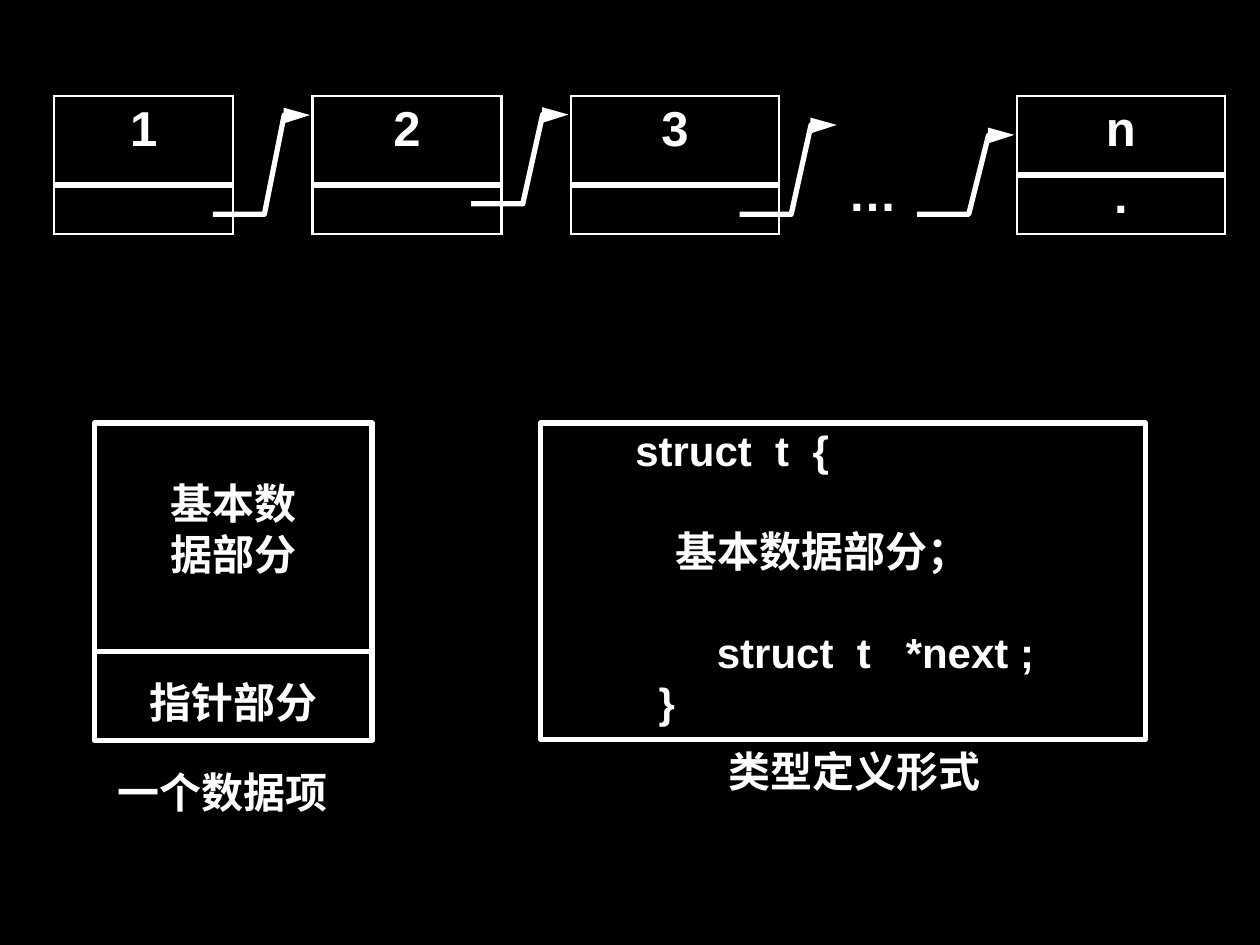
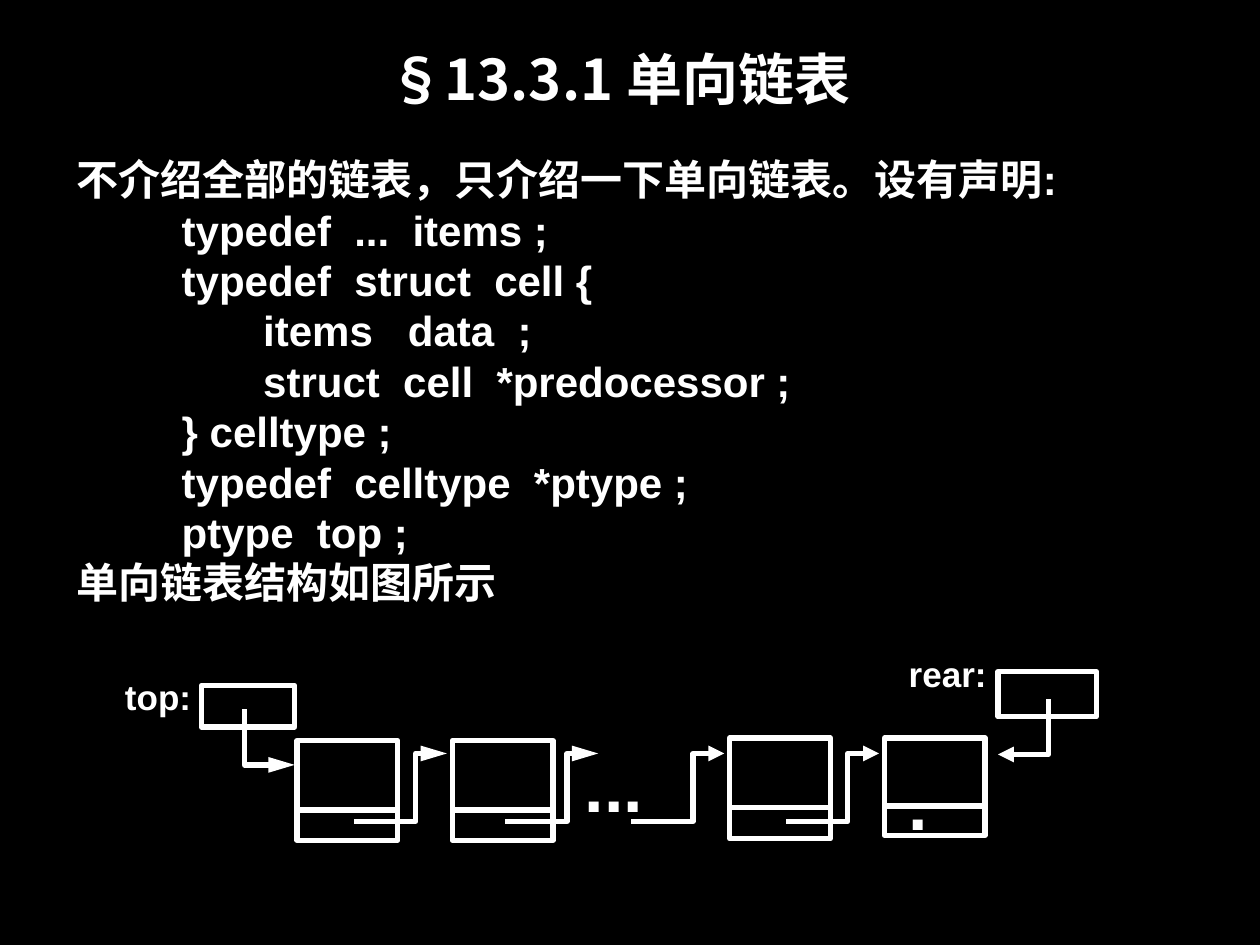
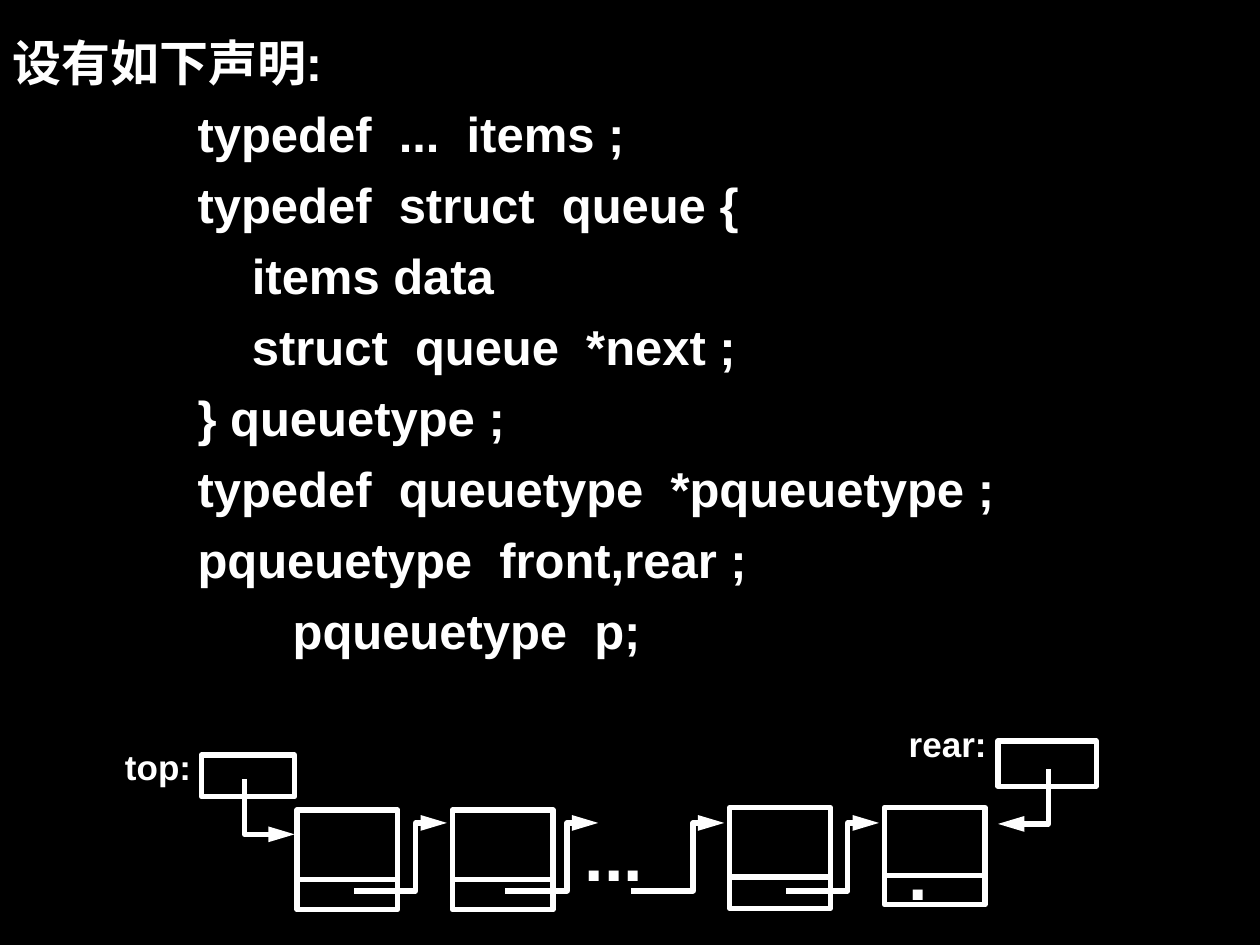
from itertools import accumulate

from lxml import etree
from pptx import Presentation
from pptx import util as u
from pptx.dml.color import RGBColor
from pptx.enum import shapes, text
from pptx.oxml.ns import qn

Cm, Pt = u.Cm, u.Pt
COLORS = {"paper": "000000", "ink": "FFFFFF"}
LATIN, CJK = "Arial", "Noto Sans CJK SC"
LEFT, CENTER = text.PP_ALIGN.LEFT, text.PP_ALIGN.CENTER
TOP, MIDDLE = text.MSO_ANCHOR.TOP, text.MSO_ANCHOR.MIDDLE
TIGHT, ROOMY = (0.03, 0.03), (0.25, 0.13)


def color(name):
    return RGBColor.from_string(COLORS[name])


def add_span(para, words, size=24, font=LATIN):
    """Append words to a paragraph in the deck's bold text style."""
    first = len(para.runs)
    if first:
        para.add_run().text = words
    else:
        para.text = words
    for span in para.runs[first:]:
        span.font.size, span.font.bold, span.font.name = Pt(size), True, font
        span.font.color.rgb = color("ink")
        etree.SubElement(span.font._element, qn("a:ea"), typeface=CJK)


def write_para(frame, words, size=24, font=LATIN, align=LEFT, before=0,
               spacing="exact", level=0, indent=0.0):
    """Write one paragraph; the first call fills the frame's empty paragraph."""
    fresh = len(frame.paragraphs) == 1 and not frame.text
    para = frame.paragraphs[0] if fresh else frame.add_paragraph()
    props = para._p.get_or_add_pPr()
    props.set("marL", str(Cm(indent)))
    props.set("indent", "0")
    etree.SubElement(props, qn("a:buNone"))
    para.level, para.alignment = level, align
    para.space_before = Pt(0 if fresh else before)
    para.line_spacing = Pt(size * 1.2) if spacing == "exact" else spacing
    add_span(para, words, size, font)
    return para


class Board:
    """White-on-black drawing style and the current page."""

    def __init__(self):
        self.deck = Presentation()
        self.deck.slide_width, self.deck.slide_height = Cm(25.4), Cm(19.05)
        fill = self.deck.slide_master.background.fill
        fill.solid()
        fill.fore_color.rgb = color("paper")

    def new_page(self, layout):
        self.page = self.deck.slides.add_slide(self.deck.slide_layouts[layout])

    def frame(self, box, inset=TIGHT, anchor=TOP, wrap=True):
        frame = box.text_frame
        frame.word_wrap, frame.vertical_anchor = wrap, anchor
        frame.auto_size = text.MSO_AUTO_SIZE.NONE
        frame.margin_left = frame.margin_right = Cm(inset[0])
        frame.margin_top = frame.margin_bottom = Cm(inset[1])
        return frame

    def holder(self, index, x, y, w, h, **options):
        box = self.page.placeholders[index]
        box.left, box.top, box.width, box.height = map(Cm, (x, y, w, h))
        return self.frame(box, **options)

    def label(self, words, x, y, w, h, inset=TIGHT, anchor=TOP, **style):
        box = self.page.shapes.add_textbox(*map(Cm, (x, y, w, h)))
        write_para(self.frame(box, inset, anchor), words, **style)

    def outline(self, line):
        line.width = Pt(3)
        line.color.rgb = color("ink")

    def rect(self, x, y, w, h):
        box = self.page.shapes.add_shape(
            shapes.MSO_SHAPE.RECTANGLE, *map(Cm, (x, y, w, h)))
        box.shadow.inherit = False
        box.fill.background()
        self.outline(box.line)
        return box

    def divider(self, x, y, w):
        line = self.page.shapes.add_connector(
            shapes.MSO_CONNECTOR.STRAIGHT, *map(Cm, (x, y, x + w, y)))
        self.outline(line.line)
        etree.SubElement(line._element.spPr, qn("a:effectLst"))

    def arrow(self, points, head="lg"):
        start, *rest = [(Cm(x), Cm(y)) for x, y in points]
        builder = self.page.shapes.build_freeform(*start)
        builder.add_line_segments(rest, close=False)
        link = builder.convert_to_shape()
        link.shadow.inherit = False
        link.fill.background()
        self.outline(link.line)
        etree.SubElement(link.line._get_or_add_ln(), qn("a:tailEnd"),
                         type="triangle", w="med", len=head)

    def table(self, x, y, widths, height):
        holder = self.page.shapes.add_table(
            1, len(widths), *map(Cm, (x, y, sum(widths), height)))
        grid = holder.table
        grid.first_row = grid.horz_banding = False
        grid.rows[0].height = Cm(height)
        for column, width in zip(grid.columns, widths):
            column.width = Cm(width)
        return [grid.cell(0, i) for i in range(len(widths))]

    def cell_style(self, cell, sides):
        cell.margin_left = cell.margin_right = Cm(0.03)
        props = cell._tc.get_or_add_tcPr()
        for side in "LRTB":
            border = etree.SubElement(props, qn(f"a:ln{side}"), w=str(Pt(1.5)))
            if side in sides:
                fill = etree.SubElement(border, qn("a:solidFill"))
                etree.SubElement(fill, qn("a:srgbClr"), val=COLORS["ink"])
            else:
                etree.SubElement(border, qn("a:noFill"))
        cell.fill.solid()
        cell.fill.fore_color.rgb = color("paper")

    def linked_list(self, top, far_head):
        """Chain of nodes with its top and rear pointers, placed from top down."""
        # Pointers
        self.label("rear:", 18.29, top, 2.03, 1.09, size=20)
        self.rect(20.12, top + 0.41, 1.98, 0.91)
        self.arrow([(21.13, top + 0.97), (21.13, top + 2.08),
                    (20.12, top + 2.08)], far_head)
        self.label("top:", 2.49, top + 0.46, 2.03, 0.94, size=20)
        self.rect(4.06, top + 0.69, 1.88, 0.84)
        self.arrow([(4.93, top + 1.17), (4.93, top + 2.29), (5.94, top + 2.29)])
        # Nodes
        for x, y, height, split in ((5.99, 1.8, 2.01, 1.4), (9.12, 1.8, 2.01, 1.4),
                                    (14.71, 1.75, 2.03, 1.4), (17.83, 1.75, 1.96, 1.37)):
            self.rect(x, top + y, 2.03, height)
            self.divider(x, top + y + split, 1.98)
        # Links
        low, high = top + 3.43, top + 2.06
        for x, head in ((7.14, "lg"), (10.19, "lg"),
                        (12.73, far_head), (15.85, far_head)):
            self.arrow([(x, low), (x + 1.24, low), (x + 1.24, high),
                        (x + 1.87, high)], head)
        self.label("...", 11.76, top + 1.8, 2.54, 1.6, size=40)
        self.label(".", 18.06, top + 2.08, 1.78, 2.51, inset=ROOMY, size=40)


def structure_page(board):
    board.new_page(6)
    # Row of list items
    left, widths = 1.09, [3.61, 1.6, 3.81, 1.4, 4.19, 4.8, 4.19]
    cells = board.table(left, 1.93, widths, 2.79)
    contents = ["1", "", "2", "", "3", "…", "n\n."]
    for i, (cell, content) in enumerate(zip(cells, contents)):
        board.cell_style(cell, "LR" if i % 2 else "LRTB")
        for line in content.splitlines():
            write_para(cell.text_frame, line, size=28, before=7, spacing=None,
                       align=LEFT if i % 2 else CENTER)
    cells[5].margin_left, cells[5].margin_top = Cm(1.4), Cm(1.45)

    # Type definition
    board.label("类型定义形式", 14.66, 14.99, 5.84, 1.27)
    frame = board.frame(board.rect(10.9, 8.53, 12.19, 6.38))
    for line, gap in (("        struct  t  {", 0),
                      ("              基本数据部分；", 28.8),
                      ("               struct  t   *next ;", 28.8),
                      ("          }", 0)):
        write_para(frame, line, before=gap)

    # One data item
    frame = board.frame(board.rect(1.91, 8.53, 5.59, 6.4))
    frame.margin_top = Cm(1.1)
    write_para(frame, "基本数\v据部分", align=CENTER)
    write_para(frame, "指针部分", align=CENTER, before=56)
    board.label("一个数据项", 1.6, 15.32, 5.79, 1.27, inset=ROOMY,
                anchor=MIDDLE, align=CENTER)
    board.divider(1.91, 13.13, 5.59)

    # Links between items
    for x, y, rise in ((4.29, 4.32, 2.0), (9.5, 4.11, 1.8),
                       (14.91, 4.32, 1.8), (18.49, 4.32, 1.6)):
        board.arrow([(x, y), (x + 1.04, y), (x + 1.44, y - rise),
                     (x + 1.96, y - rise)])
    starts = list(accumulate(widths, initial=left))
    for i in range(0, len(widths), 2):
        board.divider(starts[i], 3.53 if i == 6 else 3.73, widths[i])


def single_list_page(board):
    board.new_page(1)
    title = board.holder(0, 0.69, 0.71, 23.6, 2.21, inset=ROOMY)
    heading = write_para(title, "§13.3.1 ", size=32, font=CJK, align=CENTER,
                         spacing=1.05)
    add_span(heading, "单向链表", size=32, font="Calibri")
    body = board.holder(1, 1.52, 3.07, 20.04, 10.24, wrap=False)
    for line in ("不介绍全部的链表，只介绍一下单向链表。设有声明:",
                 "         typedef  ...  items ;",
                 "         typedef  struct  cell {",
                 "                items   data  ;",
                 "                struct  cell  *predocessor ;",
                 "         } celltype ;",
                 "         typedef  celltype  *ptype ;",
                 "         ptype  top ;",
                 "单向链表结构如图所示"):
        write_para(body, line)
    board.linked_list(13.13, "med")


def queue_page(board):
    board.new_page(1)
    title = board.page.shapes.title._element
    title.getparent().remove(title)
    body = board.holder(1, 0, 0.53, 24, 17.2, inset=ROOMY)
    write_para(body, "设有如下声明:", size=28)
    for line in ("         typedef  ...  items ;",
                 "         typedef  struct  queue {",
                 "             items data",
                 "             struct  queue  *next ;",
                 "         } queuetype ;",
                 "         typedef  queuetype  *pqueuetype ;",
                 "         pqueuetype  front,rear ;",
                 "                pqueuetype  p;"):
        write_para(body, line, size=28, before=7, level=1, indent=1.27)
    board.linked_list(14.53, "lg")


def main():
    board = Board()
    structure_page(board)
    single_list_page(board)
    queue_page(board)
    board.deck.save("out.pptx")


if __name__ == "__main__":
    main()
